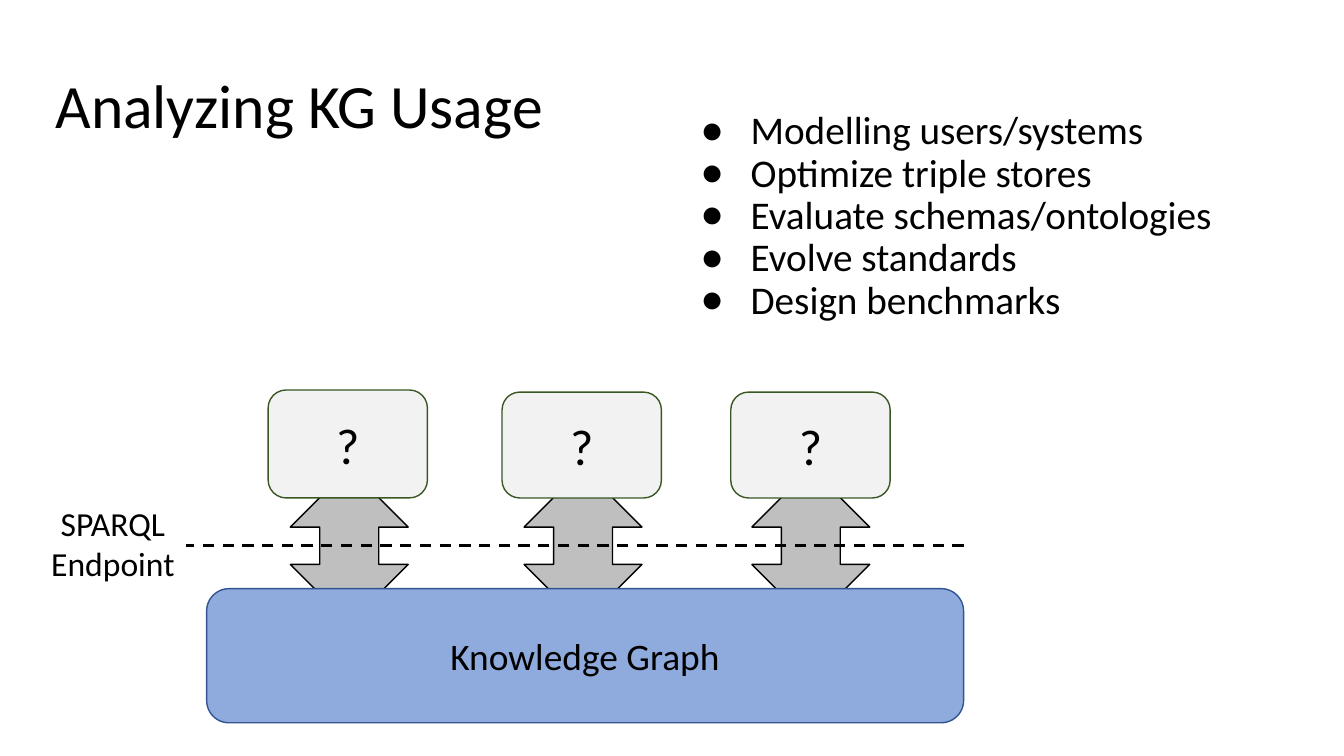
from lxml.etree import SubElement
from pptx import Presentation
from pptx.dml.color import RGBColor
from pptx.enum.dml import MSO_LINE
from pptx.enum.shapes import MSO_CONNECTOR, MSO_SHAPE
from pptx.enum.text import MSO_ANCHOR, MSO_AUTO_SIZE, PP_ALIGN
from pptx.oxml.ns import qn
from pptx.util import Pt

BLACK = RGBColor(0x00, 0x00, 0x00)
ARROW_GRAY = RGBColor(0xBF, 0xBF, 0xBF)
CLIENT_GRAY = RGBColor(0xF2, 0xF2, 0xF2)
CLIENT_GREEN = RGBColor(0x38, 0x57, 0x23)
GRAPH_BLUE = RGBColor(0x8F, 0xAA, 0xDC)
GRAPH_BORDER = RGBColor(0x32, 0x54, 0x91)

USES = [
    "Modelling users/systems",
    "Optimize triple stores",
    "Evaluate schemas/ontologies",
    "Evolve standards",
    "Design benchmarks",
]

# Client boxes share a bottom edge; each has its own left, top and arrow left
CLIENT_BOTTOM = 355.7
CLIENTS = [(191.5, 278.6, 207.4), (358.6, 280.1, 374.4), (522, 280.1, 537.1)]


class SlideBuilder:
    """Holds the style and the current slide; lengths are in points."""

    font_name = "Calibri"

    def __init__(self, slide):
        self.slide = slide

    def place(self, shape, left, top, width, height):
        shape.left, shape.top = Pt(left), Pt(top)
        shape.width, shape.height = Pt(width), Pt(height)

    def fill_text(self, frame, lines, size, alignment, line_spacing=None):
        frame.text = "\n".join(lines)
        frame.word_wrap = True
        for paragraph in frame.paragraphs:
            paragraph.alignment = alignment
            paragraph.line_spacing = line_spacing
            paragraph.space_before = Pt(0)
            paragraph.font.name = self.font_name
            paragraph.font.size = Pt(size)
            paragraph.font.color.rgb = BLACK

    def set_margins(self, frame, horizontal, vertical):
        frame.margin_left = frame.margin_right = Pt(horizontal)
        frame.margin_top = frame.margin_bottom = Pt(vertical)

    def placeholder(self, shape, box, lines, size):
        self.place(shape, *box)
        frame = shape.text_frame
        self.fill_text(frame, lines, size, PP_ALIGN.LEFT, 0.9)
        self.set_margins(frame, 7.2, 7.2)
        frame.vertical_anchor = MSO_ANCHOR.TOP
        frame.auto_size = MSO_AUTO_SIZE.NONE

    def title(self, box, text):
        self.placeholder(self.slide.shapes.title, box, [text], 44)

    def bullets(self, box, lines):
        body = self.slide.placeholders[1]
        self.placeholder(body, box, lines, 28)
        for paragraph in body.text_frame.paragraphs:
            properties = paragraph._p.get_or_add_pPr()
            properties.set("marL", str(Pt(48)))
            properties.set("indent", str(Pt(-36)))
            # The bullet must come before the default run properties
            bullet = SubElement(properties, qn("a:buChar"), char="●")
            run_defaults = properties.find(qn("a:defRPr"))
            if run_defaults is not None:
                run_defaults.addprevious(bullet)

    def shape(self, kind, box, fill, border, text=None, size=None):
        shape = self.slide.shapes.add_shape(kind, *map(Pt, box))
        shape.shadow.inherit = False
        shape.fill.solid()
        shape.fill.fore_color.rgb = fill
        shape.line.color.rgb = border
        shape.line.width = Pt(1)
        if text:
            frame = shape.text_frame
            self.fill_text(frame, [text], size, PP_ALIGN.CENTER)
            self.set_margins(frame, 9.6, 4.8)
            frame.vertical_anchor = MSO_ANCHOR.MIDDLE

    def dashed_line(self, start_x, end_x, y):
        line = self.slide.shapes.add_connector(
            MSO_CONNECTOR.STRAIGHT, Pt(start_x), Pt(y), Pt(end_x), Pt(y))
        line.line.color.rgb = BLACK
        line.line.width = Pt(2)
        line.line.dash_style = MSO_LINE.DASH
        SubElement(line._element.spPr, qn("a:effectLst"))

    def label(self, box, lines, size):
        text_box = self.slide.shapes.add_textbox(*map(Pt, box))
        self.fill_text(text_box.text_frame, lines, size, PP_ALIGN.CENTER)
        text_box.text_frame.auto_size = MSO_AUTO_SIZE.SHAPE_TO_FIT_TEXT


def main():
    presentation = Presentation()
    presentation.slide_width, presentation.slide_height = Pt(960), Pt(540)
    slide = presentation.slides.add_slide(presentation.slide_layouts[1])
    builder = SlideBuilder(slide)

    # Title and list of uses
    builder.title((32.4, 46.8, 894.2, 60.5), "Analyzing KG Usage")
    builder.bullets((481, 72, 414, 177.8), USES)

    # Arrows lie behind the boxes they join
    for _, _, arrow_left in CLIENTS:
        builder.shape(MSO_SHAPE.UP_DOWN_ARROW, (arrow_left, 334.4, 84.2, 110.9),
                      ARROW_GRAY, BLACK)

    # Knowledge graph and its unknown clients
    builder.shape(MSO_SHAPE.ROUNDED_RECTANGLE, (147.6, 420.5, 540.7, 95.8),
                  GRAPH_BLUE, GRAPH_BORDER, "Knowledge Graph", 26.7)
    for left, top, _ in CLIENTS:
        builder.shape(MSO_SHAPE.ROUNDED_RECTANGLE,
                      (left, top, 113.8, CLIENT_BOTTOM - top),
                      CLIENT_GRAY, CLIENT_GREEN, "?", 36)

    # Endpoint boundary
    builder.dashed_line(688.3, 133.2, 389.5)
    builder.label((28.8, 355.7, 103.7, 65.5), ["SPARQL", "Endpoint"], 24)

    presentation.save("out.pptx")


if __name__ == "__main__":
    main()
